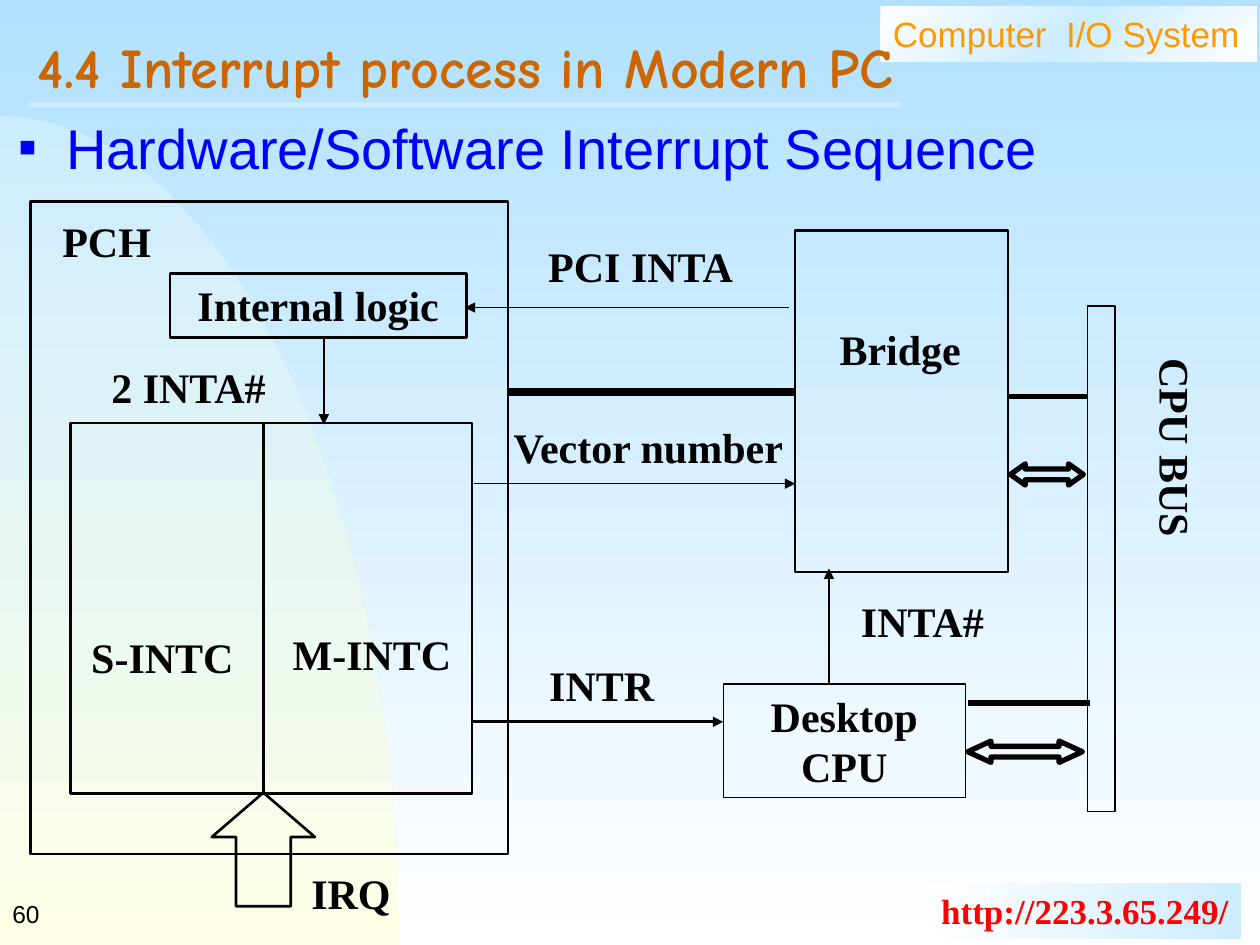
from copy import deepcopy

from lxml import etree
from pptx import Presentation
from pptx.dml.color import RGBColor
from pptx.enum.shapes import MSO_CONNECTOR, MSO_SHAPE
from pptx.enum.text import MSO_ANCHOR, MSO_AUTO_SIZE, PP_ALIGN
from pptx.oxml.ns import qn
from pptx.util import Cm, Pt

STRAIGHT = MSO_CONNECTOR.STRAIGHT
RECTANGLE = MSO_SHAPE.RECTANGLE
DOUBLE_ARROW = MSO_SHAPE.LEFT_RIGHT_ARROW
UP_ARROW = MSO_SHAPE.UP_ARROW
TOP, MIDDLE = MSO_ANCHOR.TOP, MSO_ANCHOR.MIDDLE
LEFT, CENTER = PP_ALIGN.LEFT, PP_ALIGN.CENTER
NO_AUTO_SIZE = MSO_AUTO_SIZE.NONE

BLACK = RGBColor(0x00, 0x00, 0x00)
WHITE = RGBColor(0xFF, 0xFF, 0xFF)
SKY = RGBColor(0xB1, 0xE1, 0xFF)
PALE_BLUE = RGBColor(0xCC, 0xEC, 0xFF)
CREAM = RGBColor(0xFF, 0xFF, 0xE7)
ORANGE = RGBColor(0xFF, 0x99, 0x00)
BROWN = RGBColor(0xCC, 0x66, 0x00)
BLUE = RGBColor(0x00, 0x00, 0xFF)
RED = RGBColor(0xFF, 0x00, 0x00)


def write(shape, text, font="Times New Roman", size=24, color=BLACK, bold=True,
          align=CENTER, anchor=TOP, wrap=False, spacing=1.0):
    frame = shape.text_frame
    frame.text = text
    frame.word_wrap = wrap
    frame.auto_size = NO_AUTO_SIZE
    frame.vertical_anchor = anchor
    for paragraph in frame.paragraphs:
        paragraph.alignment = align
        paragraph.line_spacing = spacing
        paragraph.space_before = Pt(0)
        for run in paragraph.runs:
            run.font.name = font
            run.font.size = Pt(size)
            run.font.bold = bold
            run.font.color.rgb = color


def add_line(x1, y1, x2, y2, width, color=BLACK, arrow=False):
    line = shapes.add_connector(STRAIGHT, Cm(x1), Cm(y1), Cm(x2), Cm(y2))
    line.line.color.rgb = color
    line.line.width = Pt(width)
    if arrow:
        etree.SubElement(line.line._get_or_add_ln(), qn("a:tailEnd"), type="triangle")
    etree.SubElement(line._element.spPr, qn("a:effectLst"))


presentation = Presentation()
presentation.slide_width = Cm(25.4)
presentation.slide_height = Cm(19.05)
slide = presentation.slides.add_slide(presentation.slide_layouts[1])
shapes = slide.shapes

curve = []
for step in range(1, 41):
    t = step / 40
    weights = ((1 - t) ** 3, 3 * t * (1 - t) ** 2, 3 * t ** 2 * (1 - t), t ** 3)
    x = sum(w * p for w, p in zip(weights, (0, 4.45, 8.05, 8.05)))
    y = sum(w * p for w, p in zip(weights, (2.34, 2.34, 9.83, 19.05)))
    curve.append((Cm(x), Cm(y)))
builder = shapes.build_freeform(0, Cm(2.34))
builder.add_line_segments(curve + [(0, Cm(19.05))], close=True)
hill = builder.convert_to_shape()
header = shapes.add_shape(RECTANGLE, Cm(17.75), Cm(0.13), Cm(7.59), Cm(1.12))
footer = shapes.add_shape(RECTANGLE, Cm(18.72), Cm(17.81), Cm(6.3), Cm(1.12))
for shape in (hill, header, footer):
    shape.shadow.inherit = False
    shape.line.fill.background()

for fill, start, end, angle in (
    (slide.background.fill, SKY, WHITE, 270),
    (hill.fill, PALE_BLUE, CREAM, 270),
    (header.fill, WHITE, PALE_BLUE, 315),
    (footer.fill, WHITE, PALE_BLUE, 0),
):
    fill.gradient()
    fill.gradient_angle = angle
    for stop, color, position in zip(fill.gradient_stops, (start, end), (0, 1)):
        stop.color.rgb = color
        stop.position = position

header.fill.gradient_stops[1].position = 0.5
stop_list = header._element.spPr.find(".//" + qn("a:gsLst"))
stop_list.append(deepcopy(stop_list[0]))
stop_list[2].set("pos", "100000")

write(header, "Computer  I/O System", font="Arial", size=20, color=ORANGE,
      bold=False, align=LEFT, wrap=True)
write(footer, "http://223.3.65.249/", size=20, color=RED)
add_line(0.58, 2.1, 18.16, 2.1, 3, color=PALE_BLUE)
page_number = shapes.add_textbox(0, Cm(17.78), Cm(5.28), Cm(1.27))
write(page_number, "60", font="Arial", size=14, bold=False, align=LEFT,
      anchor=MIDDLE, wrap=True)

title, body = shapes.title, slide.placeholders[1]
title.left, title.top, title.width, title.height = Cm(0.51), Cm(0.51), Cm(24.26), Cm(1.96)
body.left, body.top, body.width, body.height = Cm(0.13), Cm(2.16), Cm(25.02), Cm(16.28)
for placeholder in (title, body):
    shapes._spTree.append(placeholder._element)
write(title, "4.4 Interrupt process in Modern PC", font="Comic Neue", size=32,
      color=BROWN, align=LEFT, anchor=MIDDLE, wrap=True, spacing=0.7)
write(body, "Hardware/Software Interrupt Sequence", font="Arial", size=32,
      color=BLUE, bold=False, align=LEFT, wrap=True)
properties = body.text_frame.paragraphs[0]._p.get_or_add_pPr()
properties.set("marL", str(Cm(0.95)))
properties.set("indent", str(Cm(-0.95)))
bullet_color = etree.SubElement(properties, qn("a:buClr"))
etree.SubElement(bullet_color, qn("a:srgbClr"), val=str(BLUE))
etree.SubElement(properties, qn("a:buSzPct"), val="50000")
etree.SubElement(properties, qn("a:buFont"), typeface="Arial")
etree.SubElement(properties, qn("a:buChar"), char="■")

for kind, left, top, width, height, weight, adjustments, text in (
    (RECTANGLE, 14.58, 13.79, 4.88, 2.29, 0.75, (), "Desktop\nCPU"),
    (RECTANGLE, 21.92, 6.17, 0.56, 10.19, 0.75, (), ""),
    (DOUBLE_ARROW, 20.37, 9.35, 1.47, 0.43, 3, (0.5, 0.7), ""),
    (DOUBLE_ARROW, 19.51, 14.94, 2.31, 0.43, 3, (0.5, 1.09), ""),
    (RECTANGLE, 16.03, 4.65, 4.29, 6.88, 1.5, (), ""),
    (RECTANGLE, 0.61, 4.06, 9.63, 13.16, 1.5, (), ""),
    (RECTANGLE, 1.42, 8.53, 8.1, 7.47, 1.5, (), ""),
    (UP_ARROW, 4.27, 15.98, 2.08, 2.29, 1.5, (0.53, 0.43), ""),
    (RECTANGLE, 3.43, 5.51, 5.97, 1.3, 1.5, (), "Internal logic"),
):
    shape = shapes.add_shape(kind, Cm(left), Cm(top), Cm(width), Cm(height))
    shape.shadow.inherit = False
    shape.fill.background()
    shape.line.color.rgb = BLACK
    shape.line.width = Pt(weight)
    for index, value in enumerate(adjustments):
        shape.adjustments[index] = value
    if text:
        write(shape, text)

for x1, y1, x2, y2, weight, arrow in (
    (15.9, 6.2, 9.37, 6.2, 0.75, True),
    (16.71, 13.79, 16.71, 11.46, 0.75, True),
    (9.55, 9.75, 16.03, 9.75, 0.75, True),
    (9.53, 14.55, 14.58, 14.55, 1.5, True),
    (6.53, 6.81, 6.53, 8.56, 1.5, True),
    (5.31, 8.53, 5.31, 16, 1.5, False),
    (10.24, 7.9, 16.03, 7.9, 4.5, False),
    (20.35, 8, 21.92, 8, 3, False),
    (19.51, 14.17, 21.97, 14.17, 3, False),
):
    add_line(x1, y1, x2, y2, weight, arrow=arrow)

for text, left, top, width in (
    ("PCH", 0.69, 4.22, 2.92),
    ("Bridge", 16.51, 6.4, 3.28),
    ("PCI INTA", 10.77, 4.72, 4.29),
    ("INTA#", 17.07, 11.89, 3.05),
    ("Vector number", 10.06, 8.38, 6.02),
    ("INTR", 10.82, 13.18, 2.62),
    ("M-INTC", 5.33, 12.55, 4.34),
    ("S-INTC", 1.09, 12.6, 4.37),
    ("IRQ", 6.02, 17.37, 2.11),
    ("2 INTA#", 1.96, 7.16, 3.68),
):
    write(shapes.add_textbox(Cm(left), Cm(top), Cm(width), Cm(1.27)), text)

bus_label = shapes.add_textbox(Cm(22.83), Cm(6.98), Cm(1.52), Cm(3.86))
write(bus_label, "CPU BUS")
bus_label.text_frame._txBody.bodyPr.set("vert", "eaVert")

presentation.save("out.pptx")
